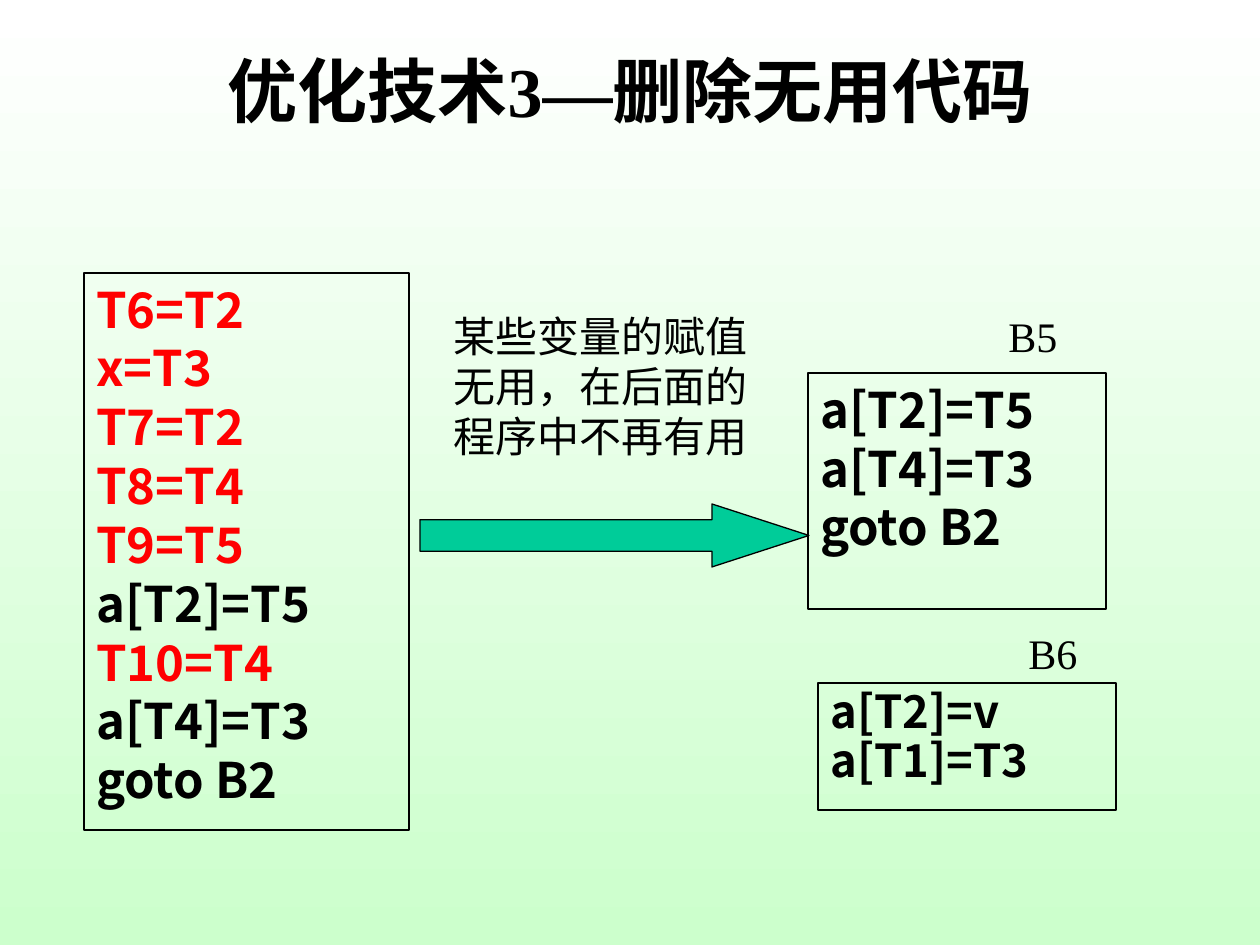
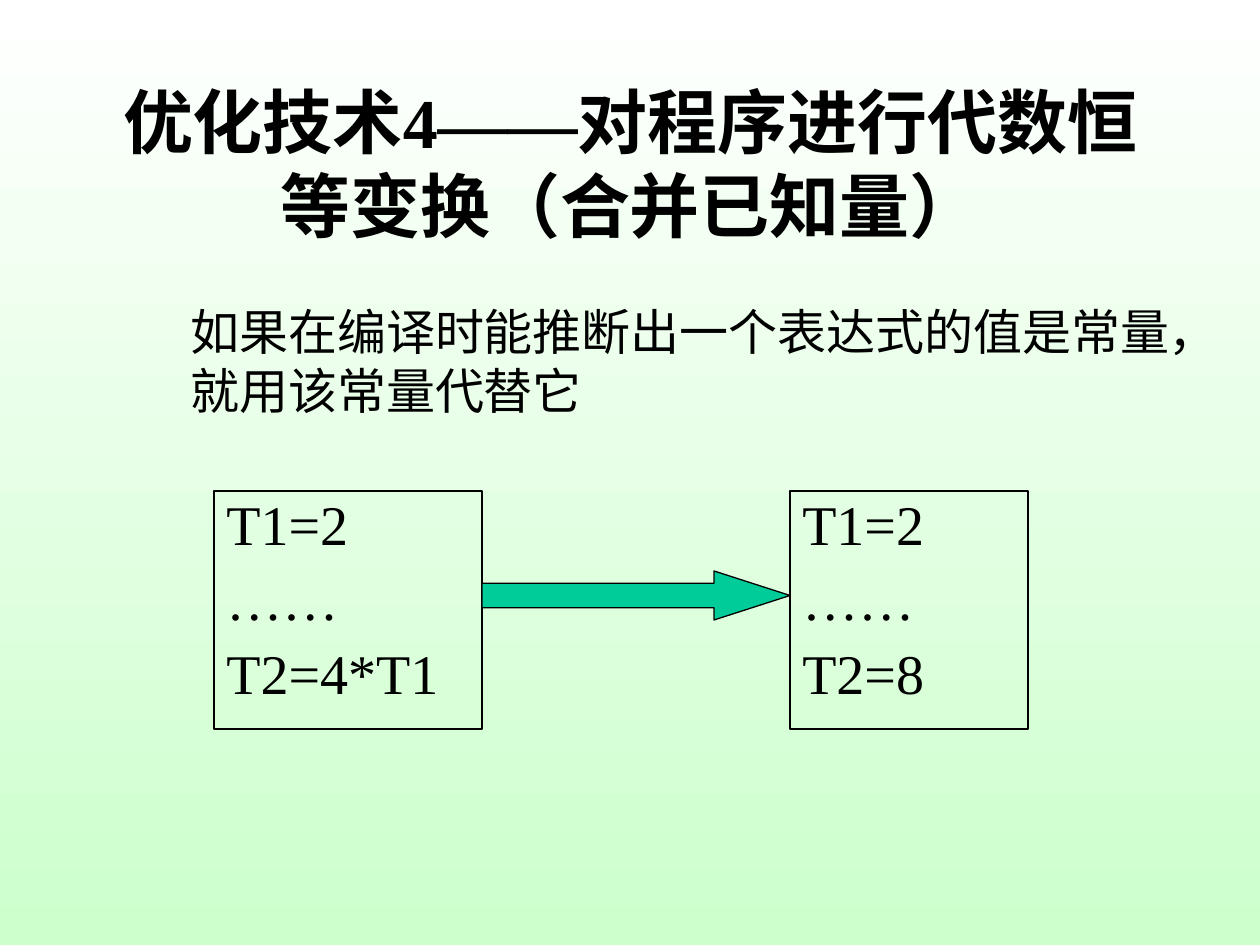
from dataclasses import dataclass

from lxml import etree
from pptx import Presentation
from pptx import util as u
from pptx.dml.color import RGBColor
from pptx.enum import shapes, text
from pptx.oxml import ns


@dataclass(frozen=True)
class Theme:
    ink: str = "000000"
    dead: str = "FF0000"
    arrow: str = "00CC99"
    sky: str = "FFFFFF"
    base: str = "CCFFCC"
    sans: str = "Noto Sans CJK SC"
    serif: str = "Times New Roman"
    title: float = 40
    big: float = 32
    code: float = 28
    tight: float = 25.9
    note: float = 24
    line: float = 0.75


T = Theme()
SCALE = 914400 / 126  # EMU per px
CODE = dict(size=T.code, face=T.sans, bold=True)
BIG = dict(size=T.big, face=T.serif, lead=0.9, gap=8)


def emu(*nums):
    return [u.Emu(round(n * SCALE)) for n in nums]


def apply(obj, vals):
    for name, val in vals.items():
        setattr(obj, name, val)


def write(frame, lines, size, face=T.serif, bold=False, hang=0, lead=None,
          gap=0, align=text.PP_ALIGN.LEFT, dead=()):
    """Fill a text frame, one paragraph for each line."""
    frame.word_wrap = True
    for i, line in enumerate(lines):
        para = frame.paragraphs[0] if i == 0 else frame.add_paragraph()
        apply(para, dict(alignment=align, line_spacing=lead,
                         space_before=u.Pt(gap if i else 0)))
        if hang:
            props = para._p.get_or_add_pPr()
            wide = emu(hang)[0]
            props.set("marL", str(wide))
            props.set("indent", str(-wide))
        run = para.add_run()
        run.text = line
        apply(run.font, dict(size=u.Pt(size), name=face, bold=bold))
        run.font.color.rgb = RGBColor.from_string(T.dead if i in dead else T.ink)
        east = etree.SubElement(run._r.get_or_add_rPr(), ns.qn("a:ea"))
        east.set("typeface", T.sans)


def shape(slide, kind, box, fill=None):
    item = slide.shapes.add_shape(kind, *emu(*box))
    item.shadow.inherit = False
    if fill:
        item.fill.solid()
        item.fill.fore_color.rgb = RGBColor.from_string(fill)
    else:
        item.fill.background()
    item.line.color.rgb = RGBColor.from_string(T.ink)
    item.line.width = u.Pt(T.line)
    return item


def block(slide, box, lines, **style):
    """Outlined block of code, set from the top."""
    frame = shape(slide, shapes.MSO_SHAPE.RECTANGLE, box).text_frame
    frame.vertical_anchor = text.MSO_ANCHOR.TOP
    write(frame, lines, hang=48, **style)


def arrow(slide, box, head):
    item = shape(slide, shapes.MSO_SHAPE.RIGHT_ARROW, box, T.arrow)
    item.adjustments[0] = 0.5
    item.adjustments[1] = head


def note(slide, box, line, size=T.note, face=T.serif):
    frame = slide.shapes.add_textbox(*emu(*box)).text_frame
    write(frame, [line], size, face)
    frame.auto_size = text.MSO_AUTO_SIZE.SHAPE_TO_FIT_TEXT


def start(deck, title, top, high):
    """New slide with its title in place."""
    slide = deck.slides.add_slide(deck.slide_layouts[5])
    head = slide.shapes.title
    apply(head, dict(zip(("left", "top", "width", "height"),
                         emu(94, top, 1072, high))))
    frame = head.text_frame
    apply(frame, dict(auto_size=text.MSO_AUTO_SIZE.NONE,
                      vertical_anchor=text.MSO_ANCHOR.MIDDLE))
    write(frame, [title], T.title, bold=True, align=text.PP_ALIGN.CENTER)
    return slide


def paint(deck):
    """Shared background on the master."""
    fill = deck.slide_master.background.fill
    fill.gradient()
    fill.gradient_angle = 270
    for stop, tint in zip(fill.gradient_stops, (T.sky, T.base)):
        stop.color.rgb = RGBColor.from_string(tint)


def prune(slide, box):
    """Dead code: the full block, an arrow, and the blocks that stay."""
    x, y, wide, high = box
    # Block before, with dead lines in red
    block(slide, (x, y, 325, high),
          ["T6=T2", "x=T3", "T7=T2", "T8=T4", "T9=T5", "a[T2]=T5",
           "T10=T4", "a[T4]=T3", "goto B2"],
          dead=(0, 1, 2, 3, 4, 6), **CODE)
    # Reason and arrow
    note(slide, (x + 357, y + 31, 346, 164),
         "某些变量的赋值无用，在后面的程序中不再有用", face=T.sans)
    arrow(slide, (x + 336, y + 231, 389, 63), 1.54)
    # Blocks after
    right = x + wide
    block(slide, (right - 308, y + 100, 298, 236),
          ["a[T2]=T5", "a[T4]=T3", "goto B2"], **CODE)
    block(slide, (right - 298, y + 410, 298, 127), ["a[T2]=v", "a[T1]=T3"],
          **{**CODE, "size": T.tight, "lead": 0.9})
    # Block names
    note(slide, (right - 120, y + 31, 105, 63), "B5")
    note(slide, (right - 100, y + 348, 105, 63), "B6")


def fold(slide, box):
    """Known values: code before, an arrow, and code after."""
    x, y, wide, high = box
    left, right = 268, 238
    block(slide, (x, y, left, high), ["T1=2", "……", "T2=4*T1"], **BIG)
    block(slide, (x + wide - right, y, right, high),
          ["T1=2", "……", "T2=8"], **BIG)
    arrow(slide, (x + left, y + 80, wide - left - right, 49), 1.55)


def main():
    deck = Presentation()
    apply(deck, dict(zip(("slide_width", "slide_height"), emu(1260, 945))))
    paint(deck)

    prune(start(deck, "优化技术3—删除无用代码", 42, 94), (84, 273, 1032, 557))

    slide = start(deck, "优化技术4——对程序进行代数恒等变换（合并已知量）", 84, 158)
    note(slide, (178, 295, 1004, 131),
         "如果在编译时能推断出一个表达式的值是常量，就用该常量代替它", T.code)
    fold(slide, (214, 491, 814, 238))

    deck.save("out.pptx")


if __name__ == "__main__":
    main()
